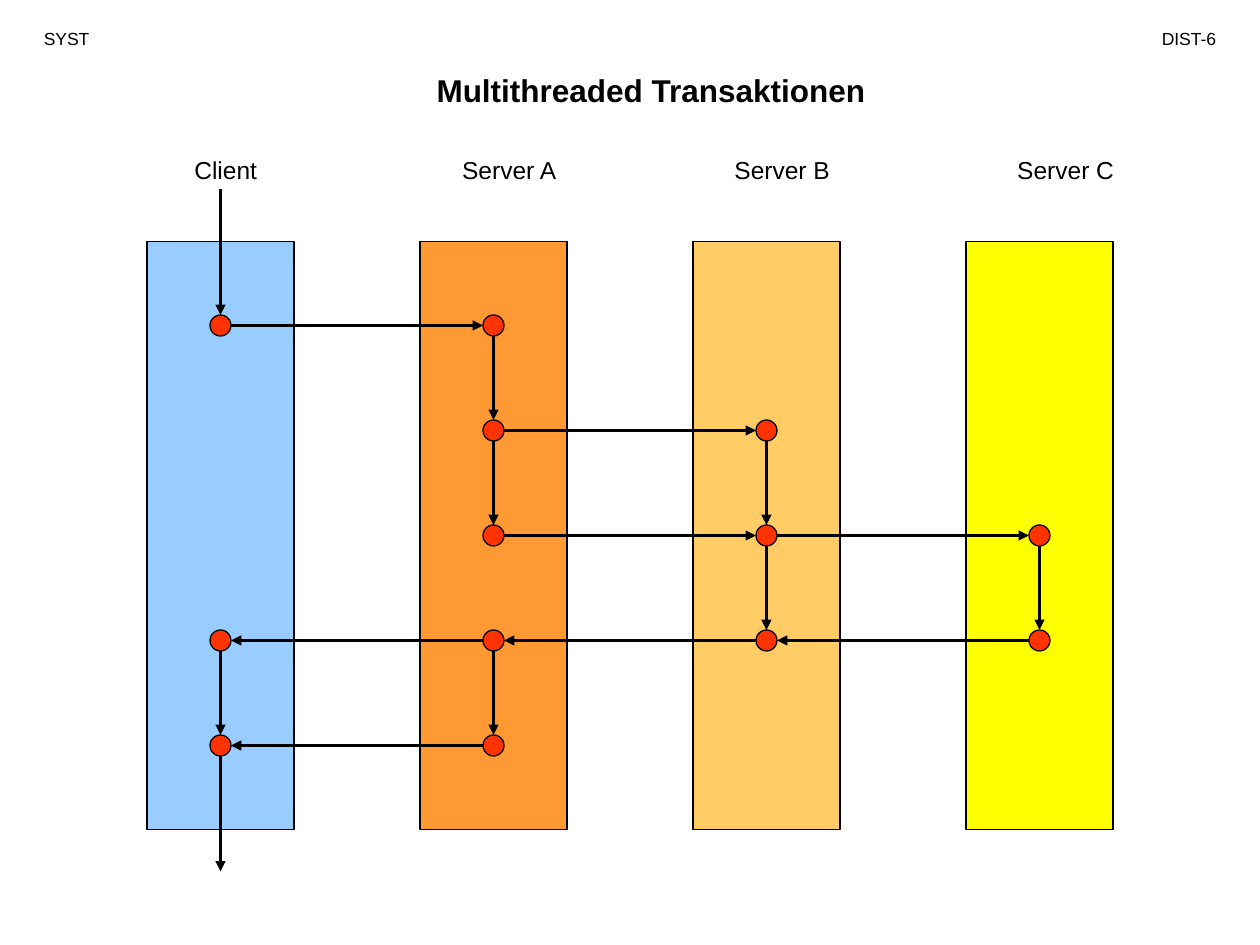
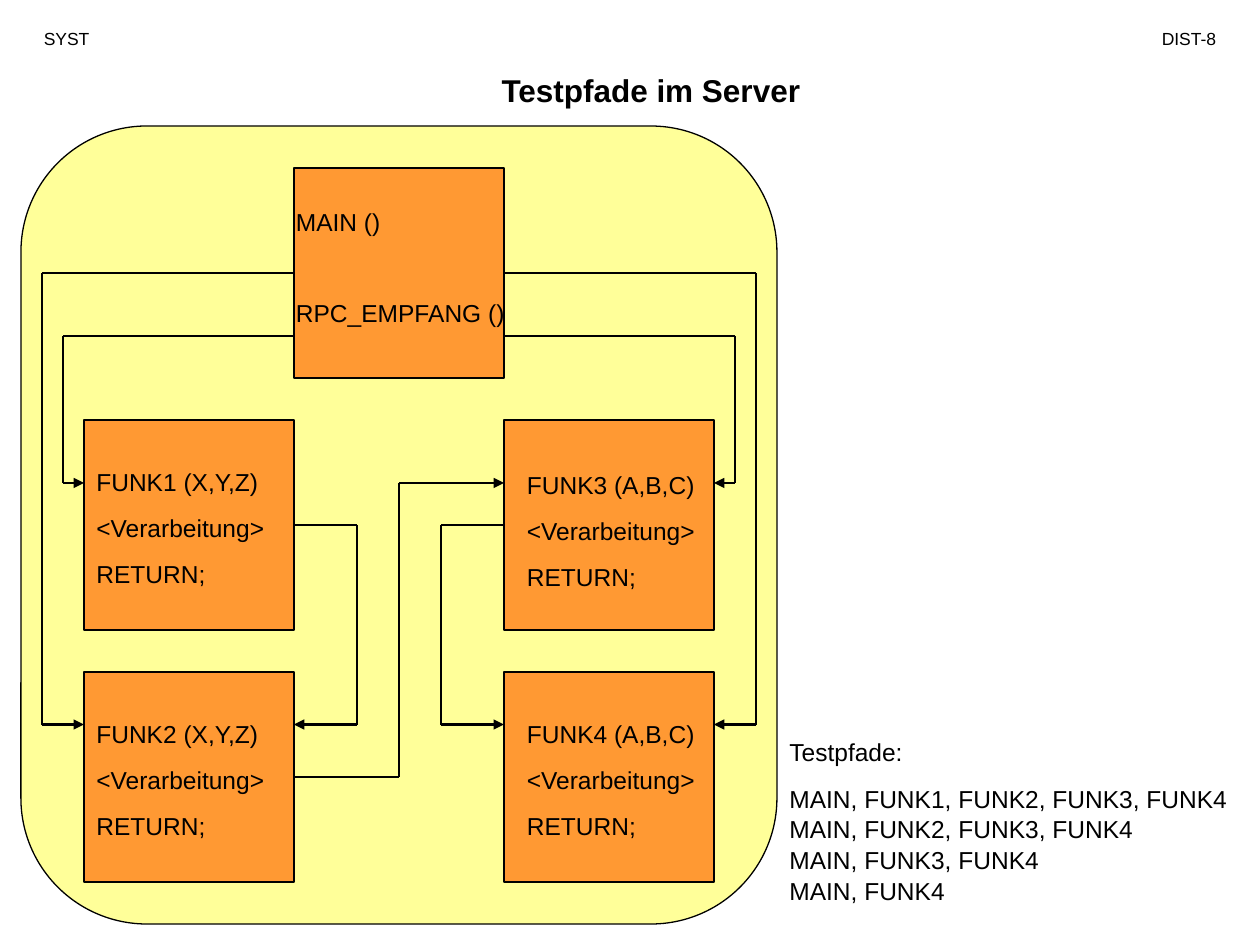
from dataclasses import dataclass
from itertools import pairwise
from typing import Any, NamedTuple

from lxml import etree
from pptx import Presentation
from pptx.dml.color import RGBColor
from pptx.enum.shapes import MSO_CONNECTOR, MSO_SHAPE
from pptx.enum.text import MSO_ANCHOR, MSO_AUTO_SIZE, PP_ALIGN
from pptx.oxml.ns import qn
from pptx.util import Inches, Pt

RECT, OVAL, ROUND = MSO_SHAPE.RECTANGLE, MSO_SHAPE.OVAL, MSO_SHAPE.ROUNDED_RECTANGLE
LINE = MSO_CONNECTOR.STRAIGHT
LEFT, MID, RIGHT = PP_ALIGN.LEFT, PP_ALIGN.CENTER, PP_ALIGN.RIGHT

# The slide is a grid of 120 columns and 90 rows
WIDE, HIGH = 10, 7.5
COLS, ROWS = 120, 90
COLOR = {
    "ink": "000000", "blue": "99CCFF", "orange": "FF9933", "sand": "FFCC66",
    "yellow": "FFFF00", "red": "FF3300", "pale": "FFFF99",
}
FRAME = {
    "word_wrap": True, "auto_size": MSO_AUTO_SIZE.NONE, "vertical_anchor": MSO_ANCHOR.TOP,
    "margin_left": Inches(0.1), "margin_right": Inches(0.1),
    "margin_top": Inches(0.05), "margin_bottom": Inches(0.05),
}
BODY = {"name": "Arial", "size": Pt(14), "bold": False}
HEAD = BODY | {"size": Pt(18), "bold": True}
SMALL = BODY | {"size": Pt(10)}
GAP = 8.8       # points before a paragraph
WIDE_GAP = 34.5  # points before a paragraph set apart


class Spot(NamedTuple):
    x: float
    y: float


class Box(NamedTuple):
    x: float
    y: float
    w: float
    h: float


@dataclass
class Lane:
    name: str
    color: str
    label: float       # left column of the label
    rows: list[int]    # rows that hold a node


@dataclass
class Func:
    name: str
    box: Spot
    text: Spot


@dataclass
class Route:
    start: Spot
    bend: float        # column of the upright part
    end: Spot


def col(n: float) -> int:
    return Inches(n * WIDE / COLS)


def row(n: float) -> int:
    return Inches(n * HIGH / ROWS)


def rgb(name: str) -> RGBColor:
    return RGBColor.from_string(COLOR[name])


def place(box: Box) -> tuple[int, int, int, int]:
    return col(box.x), row(box.y), col(box.w), row(box.h)


def apply(item: Any, form: dict) -> None:
    for key, value in form.items():
        setattr(item, key, value)


# Drawing parts
def fill_text(frame: Any, lines: list[str], font: dict, align: Any, gap: float) -> None:
    apply(frame, FRAME)
    for i, line in enumerate(lines):
        para = frame.add_paragraph() if i else frame.paragraphs[0]
        para.text = line
        apply(para, {"alignment": align, "line_spacing": 1.05,
                     "space_before": Pt(gap if i else 0)})
        apply(para.font, font)
        para.font.color.rgb = rgb("ink")


def add_text(slide: Any, box: Box, lines: list[str], font: dict = BODY,
             align: Any = LEFT, gap: float = GAP) -> None:
    shape = slide.shapes.add_textbox(*place(box))
    fill_text(shape.text_frame, lines, font, align, gap)


def add_form(slide: Any, kind: Any, box: Box, color: str) -> Any:
    shape = slide.shapes.add_shape(kind, *place(box))
    shape.shadow.inherit = False
    shape.fill.solid()
    shape.fill.fore_color.rgb = rgb(color)
    shape.line.color.rgb = rgb("ink")
    shape.line.width = Pt(0.75)
    return shape


def add_line(slide: Any, start: Spot, end: Spot, arrow: bool = True) -> None:
    line = slide.shapes.add_connector(
        LINE, col(start.x), row(start.y), col(end.x), row(end.y))
    line.line.color.rgb = rgb("ink")
    line.line.width = Pt(1.5)
    if arrow:
        etree.SubElement(line.line._get_or_add_ln(), qn("a:tailEnd"), type="triangle")
    etree.SubElement(line._element.spPr, qn("a:effectLst"))


def add_route(slide: Any, route: Route) -> None:
    spots = [route.start, Spot(route.bend, route.start.y),
             Spot(route.bend, route.end.y), route.end]
    for i, (start, end) in enumerate(pairwise(spots)):
        add_line(slide, start, end, arrow=i == 2)


def new_slide(deck: Any, title: str, code: str) -> Any:
    slide = deck.slides.add_slide(deck.slide_layouts[5])
    head = slide.shapes.title
    head.left, head.top, head.width, head.height = place(Box(26, 6, 72, 4.8))
    fill_text(head.text_frame, [title], HEAD, MID, 0)
    add_text(slide, Box(3, 2, 11, 3.2), ["SYST"], SMALL)
    add_text(slide, Box(106, 2, 11, 3.2), [code], SMALL, RIGHT)
    return slide


# Slide with the lanes
LANES = [
    Lane("Client", "blue", 12, [0, 3, 4]),
    Lane("Server A", "orange", 39, [0, 1, 2, 3, 4]),
    Lane("Server B", "sand", 65, [1, 2, 3]),
    Lane("Server C", "yellow", 92, [2, 3]),
]
# Each link joins two nodes, given as (lane, row)
LINKS = [
    ((0, 0), (1, 0)), ((1, 0), (1, 1)), ((1, 1), (1, 2)), ((1, 1), (2, 1)),
    ((1, 2), (2, 2)), ((2, 1), (2, 2)), ((2, 2), (3, 2)), ((2, 2), (2, 3)),
    ((3, 2), (3, 3)), ((3, 3), (2, 3)), ((2, 3), (1, 3)), ((1, 3), (0, 3)),
    ((1, 3), (1, 4)), ((0, 3), (0, 4)), ((1, 4), (0, 4)),
]
STEP, LANE_W = 26, 14


def node(lane: int, level: int) -> Spot:
    return Spot(14 + LANE_W / 2 + STEP * lane, 31 + 10 * level)


def add_link(slide: Any, start: Spot, end: Spot) -> None:
    dx = (end.x > start.x) - (end.x < start.x)
    dy = (end.y > start.y) - (end.y < start.y)
    add_line(slide, Spot(start.x + dx, start.y + dy), Spot(end.x - dx, end.y - dy))


def draw_lanes(deck: Any) -> None:
    slide = new_slide(deck, "Multithreaded Transaktionen", "DIST-6")
    for i, lane in enumerate(LANES):
        add_form(slide, RECT, Box(14 + STEP * i, 23, LANE_W, 56), lane.color)
        add_text(slide, Box(lane.label, 14, 19, 4), [lane.name], align=MID)
        for level in lane.rows:
            spot = node(i, level)
            add_form(slide, OVAL, Box(spot.x - 1, spot.y - 1, 2, 2), "red")
    for start, end in LINKS:
        add_link(slide, node(*start), node(*end))
    # Way in and way out
    add_line(slide, Spot(21, 18), Spot(21, 30))
    add_line(slide, Spot(21, 72), Spot(21, 83))


# Slide with the test paths
FUNCS = [
    Func("FUNK1 (X,Y,Z)", Spot(8, 40), Spot(8, 43.7)),
    Func("FUNK2 (X,Y,Z)", Spot(8, 64), Spot(8, 67.7)),
    Func("FUNK3 (A,B,C)", Spot(48, 40), Spot(49, 44)),
    Func("FUNK4 (A,B,C)", Spot(48, 64), Spot(49, 67.7)),
]
ROUTES = [
    Route(Spot(28, 74), 38, Spot(48, 46)),
    Route(Spot(28, 50), 34, Spot(28, 69)),
    Route(Spot(48, 50), 42, Spot(48, 69)),
    Route(Spot(48, 26), 72, Spot(68, 69)),
    Route(Spot(48, 32), 70, Spot(68, 46)),
    Route(Spot(28, 26), 4, Spot(8, 69)),
    Route(Spot(28, 32), 6, Spot(8, 46)),
]
PATHS = [
    "MAIN, FUNK1, FUNK2, FUNK3, FUNK4", "MAIN, FUNK2, FUNK3, FUNK4",
    "MAIN, FUNK3, FUNK4", "MAIN, FUNK4",
]
SIDE = 20


def draw_paths(deck: Any) -> None:
    slide = new_slide(deck, "Testpfade im Server", "DIST-8")
    panel = add_form(slide, ROUND, Box(2, 12, 72, 76), "pale")
    panel.adjustments[0] = 12 / 72
    # Main block and functions
    add_form(slide, RECT, Box(28, 16, SIDE, SIDE), "orange")
    add_text(slide, Box(27, 19, 25, 12.6), ["MAIN ()", "RPC_EMPFANG ()"], gap=WIDE_GAP)
    for func in FUNCS:
        add_form(slide, RECT, Box(*func.box, SIDE, SIDE), "orange")
        add_text(slide, Box(*func.text, 25, 12.6), [func.name, "<Verarbeitung>", "RETURN;"])
    for route in ROUTES:
        add_route(slide, route)
    # List of paths
    add_text(slide, Box(74, 69.5, 46, 16.7), ["Testpfade:", "\v".join(PATHS)])


def main() -> None:
    deck = Presentation()
    deck.slide_width, deck.slide_height = Inches(WIDE), Inches(HIGH)
    draw_lanes(deck)
    draw_paths(deck)
    deck.save("out.pptx")


if __name__ == "__main__":
    main()
